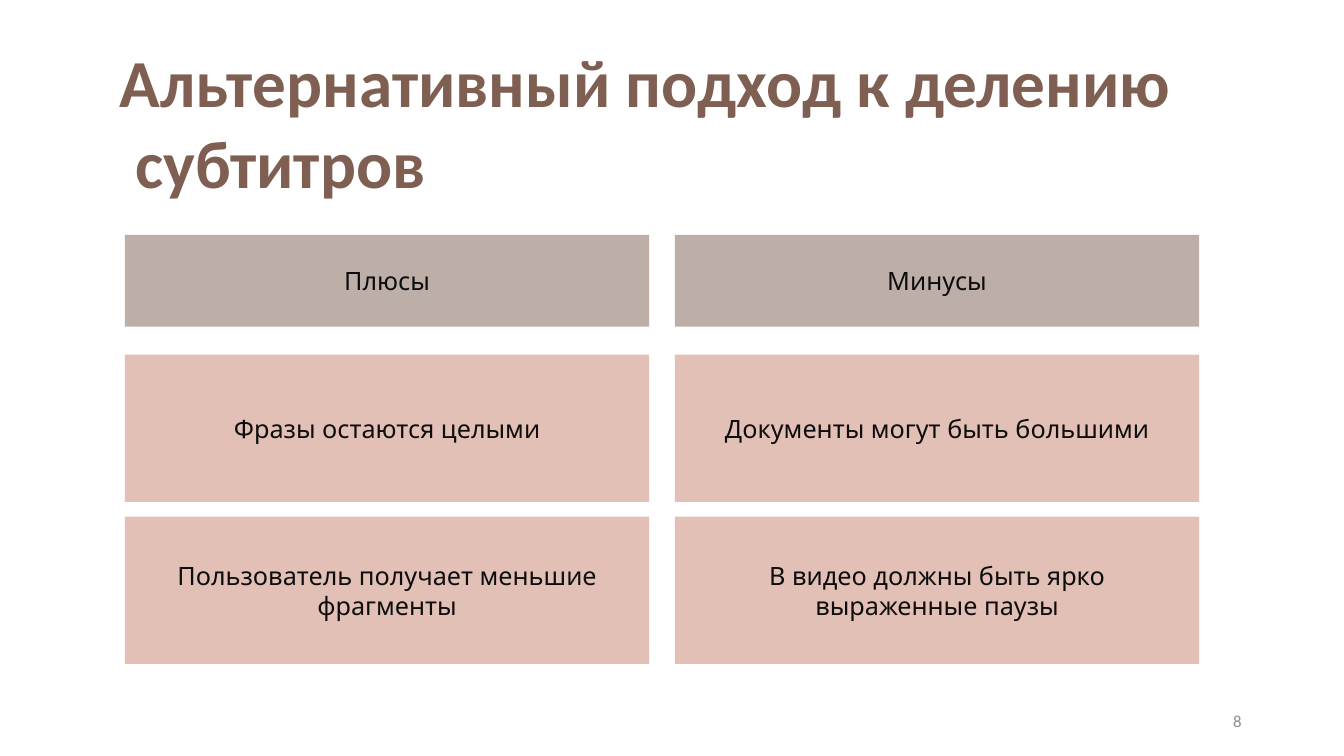
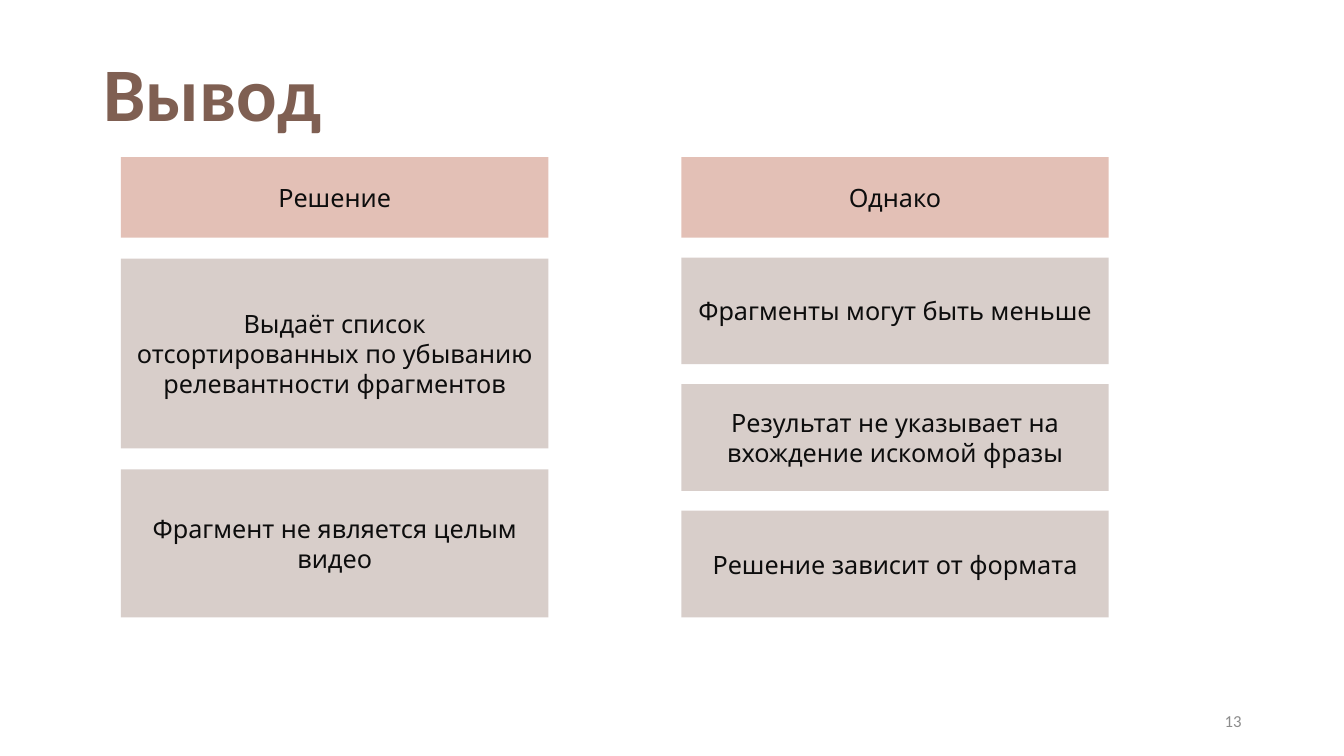
from pptx import Presentation
from pptx.dml.color import RGBColor
from pptx.enum.shapes import MSO_SHAPE
from pptx.enum.text import MSO_ANCHOR, MSO_AUTO_SIZE, PP_ALIGN
from pptx.oxml.ns import qn
from pptx.util import Cm, Pt
from lxml import etree

RECT = MSO_SHAPE.RECTANGLE
TOP, MIDDLE = MSO_ANCHOR.TOP, MSO_ANCHOR.MIDDLE
LEFT, CENTER, RIGHT = PP_ALIGN.LEFT, PP_ALIGN.CENTER, PP_ALIGN.RIGHT
FIXED = MSO_AUTO_SIZE.NONE

BROWN = RGBColor(0x7F, 0x5F, 0x52)
RED = RGBColor(0xA5, 0x30, 0x0F)
INK = RGBColor(0x0D, 0x0D, 0x0D)
GREY = RGBColor(0x8C, 0x8C, 0x8C)
HEAD_FONT, BODY_FONT = "Calibri", "Noto Sans"

# Tones: colour and opacity in percent
ROSE, SAND, PALE = (RED, 30), (BROWN, 50), (BROWN, 30)


class Deck:
    """Shared style and the current slide."""

    def __init__(self):
        self.prs = Presentation()
        self.prs.slide_width, self.prs.slide_height = Cm(33.87), Cm(19.05)

    def start(self, number):
        self.slide = self.prs.slides.add_slide(self.prs.slide_layouts[5])
        box = self.slide.shapes.add_textbox(
            Cm(23.92), Cm(17.65), Cm(7.62), Cm(1.01))
        self.label(box, number, HEAD_FONT, 12, GREY, RIGHT, MIDDLE)

    def label(self, shape, text, font, size, color, align, anchor,
              bold=False, wrap=True):
        frame = shape.text_frame
        frame.text = text
        frame.auto_size = FIXED
        frame.word_wrap = wrap
        frame.vertical_anchor = anchor
        for para in frame.paragraphs:
            para.alignment = align
            para.font.name = font
            para.font.size = Pt(size)
            para.font.bold = bold
            para.font.color.rgb = color

    def title(self, text, x, y, w, h, size, align):
        head = self.slide.shapes.title
        head.left, head.top, head.width, head.height = map(Cm, (x, y, w, h))
        self.label(head, text, HEAD_FONT, size, BROWN, align, TOP,
                   bold=True, wrap=False)

    def card(self, text, x, y, w, h, tone):
        color, alpha = tone
        card = self.slide.shapes.add_shape(RECT, Cm(x), Cm(y), Cm(w), Cm(h))
        card.shadow.inherit = False
        card.line.fill.background()
        card.fill.solid()
        card.fill.fore_color.rgb = color
        tint = card.element.spPr.find(qn("a:solidFill"))[0]
        etree.SubElement(tint, qn("a:alpha")).set("val", str(alpha * 1000))
        self.label(card, text, BODY_FONT, 18, INK, CENTER, MIDDLE)

    def stack(self, x, y, w, gap, tone, cards):
        """Cards one below another, given as (text, height)."""
        for text, h in cards:
            self.card(text, x, y, w, h, tone)
            y += h + gap


deck = Deck()

# Pros and cons
deck.start("8")
deck.title("Альтернативный подход к делению\n субтитров",
           2.77, 0.89, 27.18, 4.37, 48, LEFT)
PROS = [
    (3.15, "Плюсы", ["Фразы остаются целыми",
                     "Пользователь получает меньшие фрагменты"]),
    (17.01, "Минусы", ["Документы могут быть большими",
                       "В видео должны быть ярко выраженные паузы"]),
]
for x, name, points in PROS:
    deck.card(name, x, 5.92, 13.21, 2.31, SAND)
    deck.stack(x, 8.94, 13.21, 0.37, ROSE, [(p, 3.71) for p in points])

# Conclusion
deck.start("13")
deck.title("Вывод", 2.34, 1.04, 6.02, 2.57, 54, CENTER)
ENDS = [
    (3.05, "Решение", 0.53, [
        ("Выдаёт список отсортированных по убыванию релевантности фрагментов",
         4.78),
        ("Фрагмент не является целым видео", 3.73)]),
    (17.17, "Однако", 0.5, [
        ("Фрагменты могут быть меньше", 2.69),
        ("Результат не указывает на вхождение искомой фразы", 2.69),
        ("Решение зависит от формата", 2.69)]),
]
for x, name, gap, cards in ENDS:
    deck.card(name, x, 3.96, 10.77, 2.03, ROSE)
    deck.stack(x, 5.99 + gap, 10.77, gap, PALE, cards)

deck.prs.save("out.pptx")
